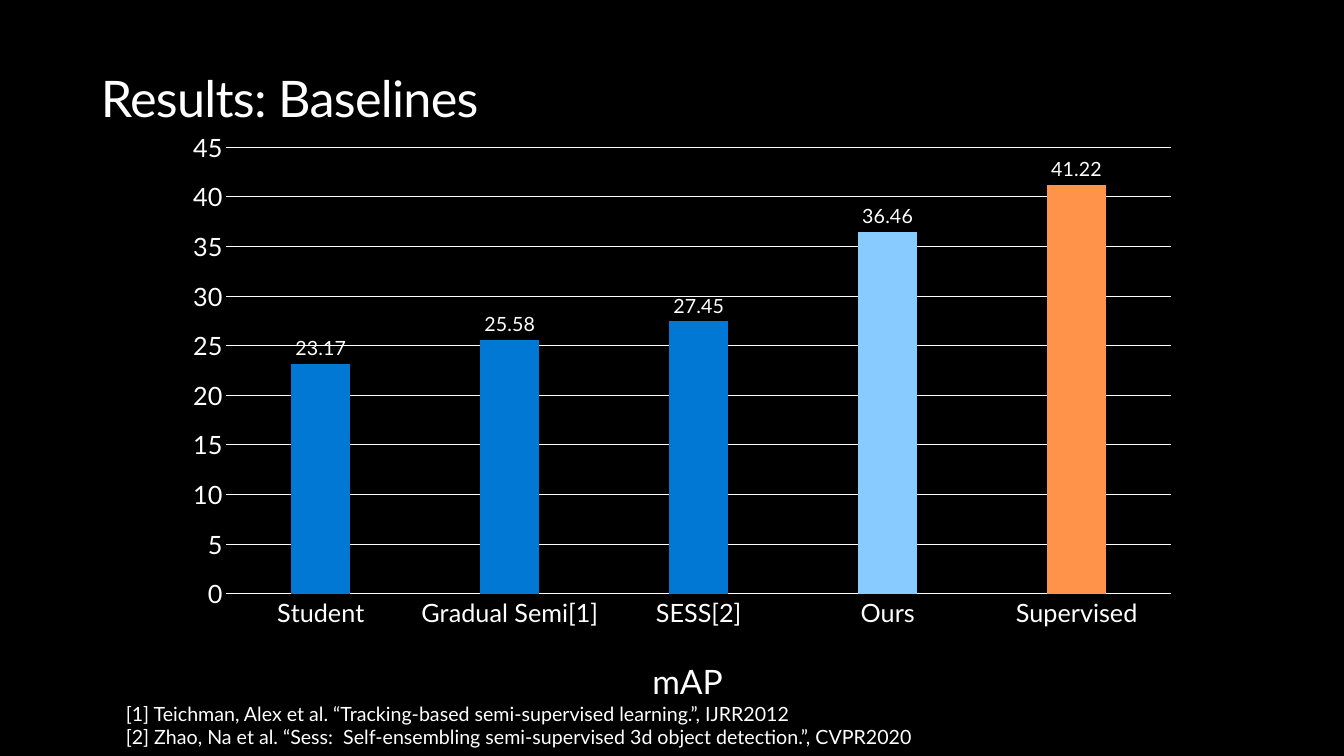
import pptx
import pptx.chart.data
import pptx.dml.color
import pptx.enum.chart
import pptx.enum.text
import pptx.oxml
import pptx.oxml.ns
import pptx.util

Pt = pptx.util.Pt
qn = pptx.oxml.ns.qn


class Theme:
    face = "Lato"
    back = "000000"
    ink = "FFFFFF"
    base = "0078D4"
    ours = "88CBFF"
    full = "FF9349"
    head = 36
    unit = 24
    axis = 18
    note = 14


SCORES = {
    "Student": 23.17,
    "Gradual Semi[1]": 25.58,
    "SESS[2]": 27.45,
    "Ours": 36.46,
    "Supervised": 41.22,
}
MARKS = {"Ours": Theme.ours, "Supervised": Theme.full}
NOTES = [
    "[1] Teichman, Alex et al. “Tracking-based semi-supervised learning.”, IJRR2012",
    "[2] Zhao, Na et al. “Sess:  Self-ensembling semi-supervised 3d object detection.”, CVPR2020",
]


def paint(fill, color):
    fill.solid()
    fill.fore_color.rgb = pptx.dml.color.RGBColor.from_string(color)


def style(font, size):
    font.name = Theme.face
    font.size = Pt(size)
    font.bold = False
    paint(font.fill, Theme.ink)


def rule(line):
    paint(line.fill, Theme.ink)
    line.width = Pt(0.75)


def place(shape, box):
    shape.left, shape.top, shape.width, shape.height = map(Pt, box)


def pin(parent, index, inner=False, **share):
    """Fix a chart part at shares of the chart's size."""
    for old in parent.findall(qn("c:layout")):
        parent.remove(old)
    space = pptx.oxml.ns.nsdecls("c")
    target = '<c:layoutTarget val="inner"/>' if inner else ""
    modes = '<c:xMode val="edge"/><c:yMode val="edge"/>'
    sizes = "".join(f'<c:{key} val="{val}"/>' for key, val in share.items())
    parent.insert(index, pptx.oxml.parse_xml(
        f"<c:layout {space}><c:manualLayout>{target}{modes}{sizes}"
        "</c:manualLayout></c:layout>"))


def add_title(slide, box):
    title = slide.shapes.title
    place(title, box)
    frame = title.text_frame
    frame.text = "Results: Baselines"
    frame.word_wrap = True
    frame.auto_size = pptx.enum.text.MSO_AUTO_SIZE.NONE
    frame.vertical_anchor = pptx.enum.text.MSO_ANCHOR.TOP
    frame.margin_left = frame.margin_right = 0
    frame.margin_top = frame.margin_bottom = 0
    line = frame.paragraphs[0]
    line.alignment = pptx.enum.text.PP_ALIGN.LEFT
    style(line.runs[0].font, Theme.head)
    line.runs[0].font._element.set("spc", "-50")


def add_bars(slide, box):
    data = pptx.chart.data.CategoryChartData()
    data.categories = list(SCORES)
    data.add_series("Series 1", list(SCORES.values()))
    kind = pptx.enum.chart.XL_CHART_TYPE.COLUMN_CLUSTERED
    chart = slide.shapes.add_chart(kind, *map(Pt, box), data).chart
    chart.has_title = False
    chart.has_legend = False
    style(chart.font, 10)

    # Columns and their values
    plot = chart.plots[0]
    plot.gap_width = 219
    plot.overlap = -27
    plot.vary_by_categories = False
    bars = plot.series[0]
    paint(bars.format.fill, Theme.base)
    for spot, name in enumerate(SCORES):
        if name in MARKS:
            paint(bars.points[spot].format.fill, MARKS[name])
    labels = bars.data_labels
    labels.show_value = True
    labels.position = pptx.enum.chart.XL_LABEL_POSITION.OUTSIDE_END
    style(labels.font, Theme.note)

    # Axes
    names, marks = chart.category_axis, chart.value_axis
    for axis in (names, marks):
        axis.major_tick_mark = pptx.enum.chart.XL_TICK_MARK.NONE
        axis.minor_tick_mark = pptx.enum.chart.XL_TICK_MARK.NONE
        style(axis.tick_labels.font, Theme.axis)
    rule(names.format.line)
    marks.format.line.fill.background()
    marks.minimum_scale, marks.maximum_scale = 0, 45
    marks.major_unit = 5
    marks.has_major_gridlines = True
    rule(marks.major_gridlines.format.line)

    # Axis title and plot area
    unit = names.axis_title
    unit.text_frame.text = "mAP"
    style(unit.text_frame.paragraphs[0].runs[0].font, Theme.unit)
    pin(unit._element, 1, x=0.466, y=0.887)
    area = chart.element.find(".//" + qn("c:plotArea"))
    pin(area, 0, inner=True, x=0.054, y=0.044, w=0.927, h=0.747)


def add_notes(slide, box):
    left, top, width, height = box
    step = 16.6
    for row, text in enumerate(NOTES):
        note = slide.shapes.add_textbox(
            Pt(left), Pt(top + row * step), Pt(width), Pt(height - step))
        frame = note.text_frame
        frame.word_wrap = True
        frame.text = text
        style(frame.paragraphs[0].runs[0].font, Theme.note)


def main():
    deck = pptx.Presentation()
    deck.slide_width, deck.slide_height = Pt(960), Pt(540)
    slide = deck.slides.add_slide(deck.slide_layouts[5])
    paint(slide.background.fill, Theme.back)
    add_title(slide, (72, 48, 829.4, 76.3))
    add_bars(slide, (122.4, 86.4, 728, 427))
    add_notes(slide, (82.8, 497.5, 691.2, 46.8))
    deck.save("out.pptx")


if __name__ == "__main__":
    main()
